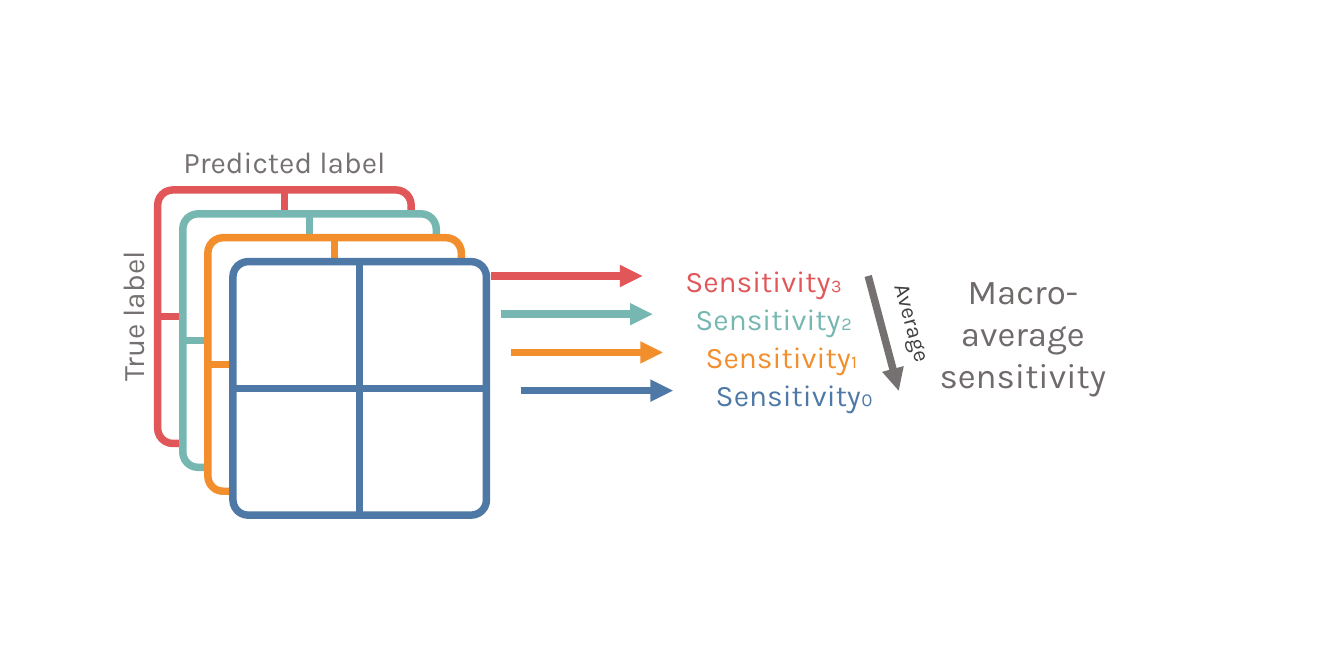
from lxml import etree
from pptx import Presentation
from pptx.dml.color import RGBColor
from pptx.enum import shapes, text
from pptx.oxml import ns
from pptx.util import Inches, Pt

COLORS = {
    "class 3": "E15759",
    "class 2": "76B7B2",
    "class 1": "F28E2B",
    "class 0": "4E79A7",
    "label": "767171",
    "average": "404040",
    "result": "706A6A",
    "paper": "FFFFFF",
}
CLASSES = [("class 3", "₃"), ("class 2", "₂"), ("class 1", "₁"), ("class 0", "₀")]
MATRIX = 2.83

prs = Presentation()
prs.slide_width, prs.slide_height = Inches(15), Inches(7.5)
slide = prs.slides.add_slide(prs.slide_layouts[6])


def add_line(parent, start, end, color, arrow=False):
    line = parent.add_connector(
        shapes.MSO_CONNECTOR.STRAIGHT, *[Inches(v) for v in (*start, *end)])
    line.line.color.rgb = RGBColor.from_string(COLORS[color])
    line.line.width = Pt(6)
    if arrow:
        etree.SubElement(line.line._get_or_add_ln(), ns.qn("a:tailEnd"), type="triangle")
    etree.SubElement(line._element.spPr, ns.qn("a:effectLst"))


def add_label(box, lines, size, color, align=text.PP_ALIGN.CENTER, rotation=0):
    label = slide.shapes.add_textbox(*[Inches(v) for v in box])
    label.rotation = rotation
    frame = label.text_frame
    frame.word_wrap = True
    frame.auto_size = text.MSO_AUTO_SIZE.SHAPE_TO_FIT_TEXT
    frame.text = "\n".join(lines)
    font_format = {"name": "Karla", "size": Pt(size)}
    for paragraph in frame.paragraphs:
        paragraph.alignment = align
        for run in paragraph.runs:
            for attribute, value in font_format.items():
                setattr(run.font, attribute, value)
            run.font.color.rgb = RGBColor.from_string(COLORS[color])


# Stacked confusion matrices, one per class
for i, (color, _) in enumerate(CLASSES):
    left, top = 1.76 + 0.28 * i, 2.12 + 0.8 * i / 3
    middle_x, middle_y = left + MATRIX / 2, top + MATRIX / 2
    matrix = slide.shapes.add_group_shape().shapes
    frame = matrix.add_shape(
        shapes.MSO_SHAPE.ROUNDED_RECTANGLE,
        Inches(left), Inches(top), Inches(MATRIX), Inches(MATRIX))
    frame.adjustments[0] = 0.06
    frame.shadow.inherit = False
    frame.fill.solid()
    frame.fill.fore_color.rgb = RGBColor.from_string(COLORS["paper"])
    frame.line.color.rgb = RGBColor.from_string(COLORS[color])
    frame.line.width = Pt(6)
    add_line(matrix, (middle_x, top), (middle_x, top + MATRIX), color)
    add_line(matrix, (left, middle_y), (left + MATRIX, middle_y), color)

# Sensitivity of each class
for i, (color, subscript) in enumerate(CLASSES):
    shift_x, shift_y = 0.34 * i / 3, 1.28 * i / 3
    arrow_x, arrow_y = 5.48 + shift_x, 3.08 + shift_y
    add_line(slide.shapes, (arrow_x, arrow_y), (arrow_x + 1.69, arrow_y), color, arrow=True)
    add_label((7.55 + shift_x, 2.88 + shift_y, 2.04, 0.5),
              ["Sensitivity" + subscript], 24, color, text.PP_ALIGN.LEFT)

# Averaging and its result
add_line(slide.shapes, (9.69, 3.08), (10.03, 4.36), "label", arrow=True)
add_label((8.86, 3.4, 2.67, 0.4), ["Average"], 18, "average", rotation=74.4)
add_label((10.09, 2.96, 2.65, 1.51), ["Macro-average", "sensitivity"], 28, "result")

# Axis labels of the matrices
add_label((1.76, 1.55, MATRIX, 0.5), ["Predicted label"], 24, "label")
add_label((0.06, 3.28, MATRIX, 0.5), ["True label"], 24, "label", rotation=270)

prs.save("out.pptx")
